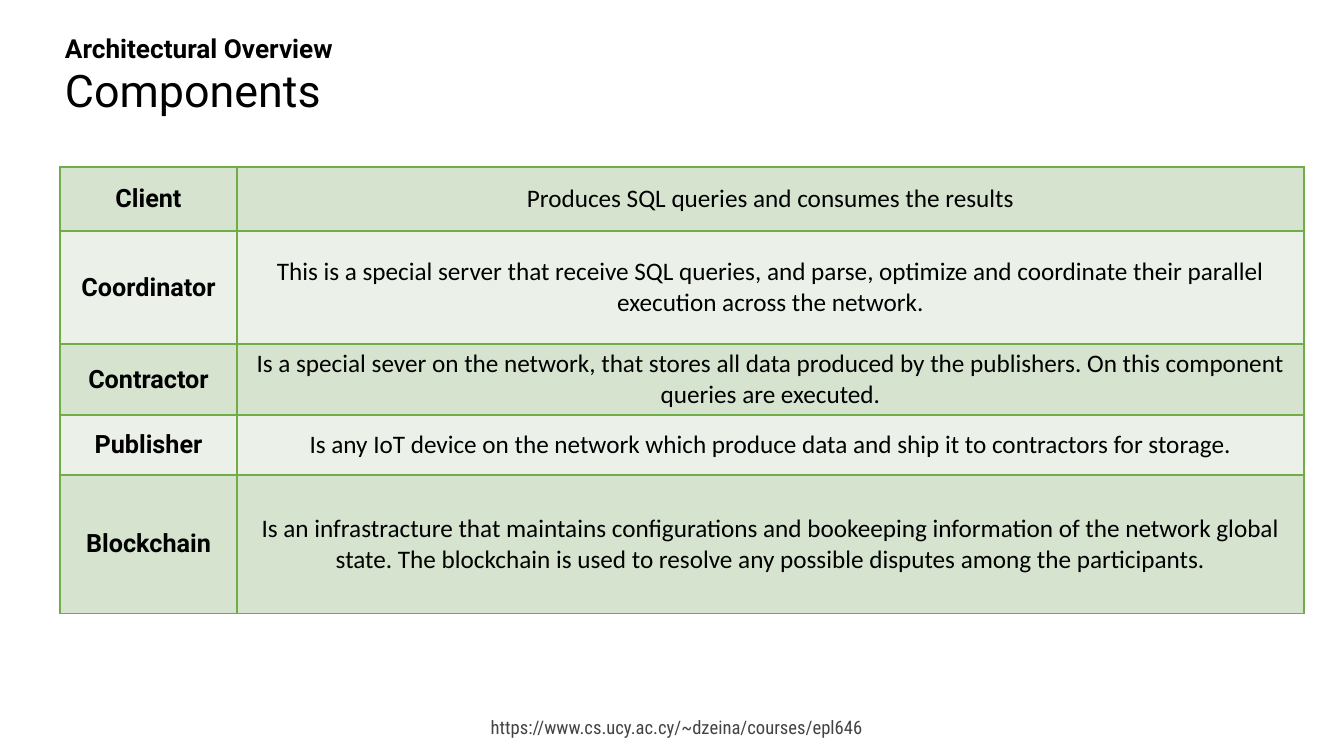
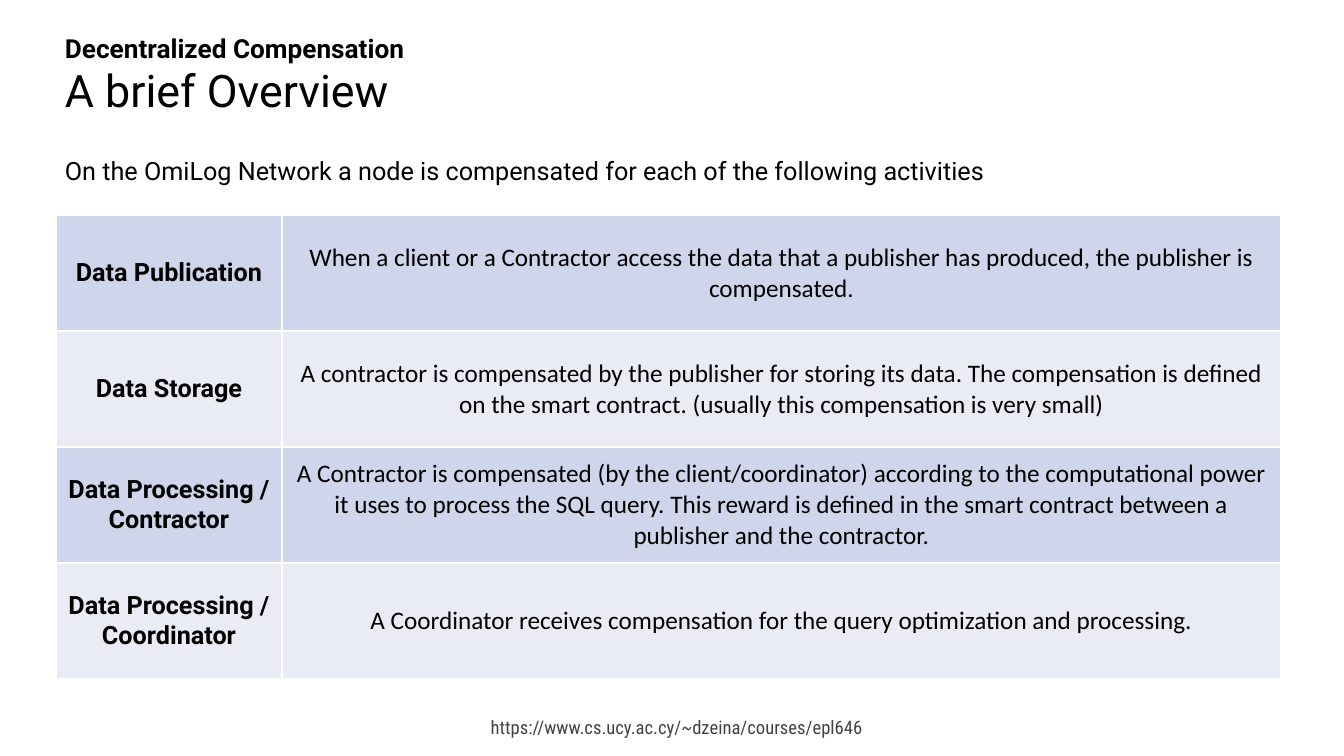
from dataclasses import dataclass

from lxml.etree import SubElement
from pptx import Presentation
from pptx.dml.color import RGBColor as Rgb
from pptx.enum.text import MSO_ANCHOR as Anchor, PP_ALIGN as Align
from pptx.oxml.ns import qn
from pptx.util import Pt

SCALE = 914400 / 100.8


def px(n):
    return round(n * SCALE)


@dataclass(frozen=True)
class Theme:
    ink: str = "000000"
    gray: str = "434343"
    green: tuple = ("D5E3CF", "EBF1E9")
    blue: tuple = ("CFD5EA", "E9EBF5")
    leaf: str = "70AD47"
    white: str = "FFFFFF"
    head: str = "Roboto"
    slim: str = "Roboto Condensed"
    body: str = "Calibri"
    big: float = 32
    mid: float = 18.7
    base: float = 18
    small: float = 13.3


THEME = Theme()


def write(frame, text, font=THEME.head, size=THEME.base, color=THEME.ink,
          bold=False, align=Align.LEFT, lead=None):
    frame.word_wrap = True
    para = frame.paragraphs[0]
    para.alignment = align
    if lead:
        para.line_spacing = lead
    run = para.add_run()
    run.text = text
    style = run.font
    style.name, style.size, style.bold = font, Pt(size), bold
    style.color.rgb = Rgb.from_string(color)


def edge(cell, color):
    """Draw a 1 pt line on all four sides of a cell."""
    props = cell._tc.get_or_add_tcPr()
    for side in ("a:lnL", "a:lnR", "a:lnT", "a:lnB"):
        line = SubElement(props, qn(side), w=str(Pt(1)))
        fill = SubElement(line, qn("a:solidFill"))
        SubElement(fill, qn("a:srgbClr"), val=color)


class Deck:
    def __init__(self, theme):
        self.theme = theme
        self.show = Presentation()
        self.show.slide_width, self.show.slide_height = px(1344), px(756)
        self.slide = None

    def page(self, topic, title):
        """Start a slide with its footer and two-line heading."""
        t = self.theme
        self.slide = self.show.slides.add_slide(self.show.slide_layouts[6])
        self.text((442, 711, 431, 33),
                  "https://www.cs.ucy.ac.cy/~dzeina/courses/epl646",
                  font=t.slim, size=t.small, color=t.gray, align=Align.RIGHT)
        self.text((55, 27, 379, 74), topic, size=t.mid, bold=True)
        self.text((55, 62, 1159, 61), title, anchor=Anchor.MIDDLE,
                  size=t.big, lead=0.9)

    def text(self, area, text, anchor=Anchor.TOP, **form):
        frame = self.slide.shapes.add_textbox(*map(px, area)).text_frame
        frame.vertical_anchor = anchor
        write(frame, text, **form)

    def table(self, spot, cols, rows, data, bands, line):
        """Place a banded table with bold labels in its first column."""
        area = (*spot, sum(cols), sum(rows))
        grid = self.slide.shapes.add_table(
            len(rows), len(cols), *map(px, area)).table
        grid.first_row = grid.horz_banding = False
        for col, wide in zip(grid.columns, cols):
            col.width = px(wide)
        for r, (tall, texts) in enumerate(zip(rows, data)):
            grid.rows[r].height = px(tall)
            for c, text in enumerate(texts):
                cell = grid.cell(r, c)
                edge(cell, line)
                cell.fill.solid()
                cell.fill.fore_color.rgb = Rgb.from_string(bands[r % 2])
                cell.vertical_anchor = Anchor.MIDDLE
                label = c == 0
                write(cell.text_frame, text, bold=label, align=Align.CENTER,
                      font=self.theme.head if label else self.theme.body)

    def save(self):
        self.show.save("out.pptx")


PARTS = [
    ("Client", "Produces SQL queries and consumes the results"),
    ("Coordinator",
     "This is a special server that receive SQL queries, and parse, optimize "
     "and coordinate their parallel execution across the network."),
    ("Contractor",
     "Is a special sever on the network, that stores all data produced by the "
     "publishers. On this component queries are executed."),
    ("Publisher",
     "Is any IoT device on the network which produce data and ship it to "
     "contractors for storage."),
    ("Blockchain",
     "Is an infrastracture that maintains configurations and bookeeping "
     "information of the network global state. The blockchain is used to "
     "resolve any possible disputes among the participants."),
]

PAY = [
    ("Data Publication",
     "When a client or a Contractor access the data that a publisher has "
     "produced, the publisher is compensated."),
    ("Data Storage",
     "A contractor is compensated by the publisher for storing its data. The "
     "compensation is defined on the smart contract. (usually this "
     "compensation is very small)"),
    ("Data Processing / Contractor",
     "A Contractor is compensated (by the client/coordinator) according to "
     "the computational power it uses to process the SQL query. This reward "
     "is defined in the smart contract between a publisher and the "
     "contractor."),
    ("Data Processing / Coordinator",
     "A Coordinator receives compensation for the query optimization and "
     "processing."),
]


def main():
    deck = Deck(THEME)

    deck.page("Architectural Overview", "Components")
    deck.table((60, 167), (177, 1067), (64, 113, 71, 60, 139), PARTS,
               THEME.green, THEME.leaf)

    deck.page("Decentralized Compensation", "A brief Overview")
    deck.text((55, 150, 1233, 40),
              "On the OmiLog Network a node is compensated for each of the "
              "following activities")
    deck.table((56, 215), (226, 999), [116] * len(PAY), PAY,
               THEME.blue, THEME.white)

    deck.save()


if __name__ == "__main__":
    main()
